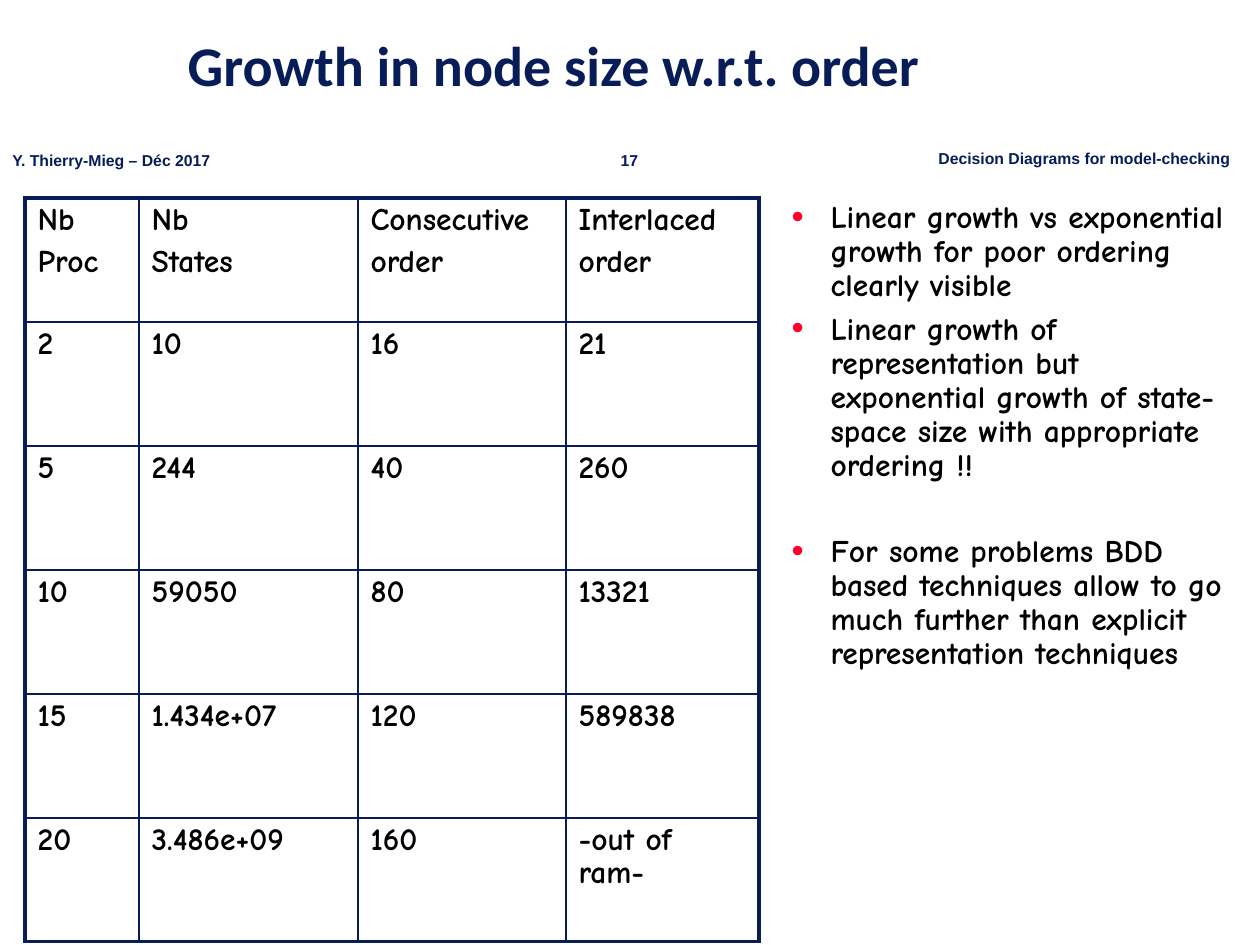
from lxml.etree import SubElement
from pptx import Presentation
from pptx.dml.color import RGBColor
from pptx.enum.text import MSO_ANCHOR, MSO_AUTO_SIZE, PP_ALIGN
from pptx.oxml import parse_xml
from pptx.oxml.ns import nsdecls, qn
from pptx.util import Emu, Pt

SCALE = 914400 / 126
NAVY, RED, BLACK = "081D58", "FC0128", "000000"


def px(*sizes):
    return [Emu(round(size * SCALE)) for size in sizes]


def write(par, text, font, size, color):
    run = par.add_run()
    run.text = text
    run.font.name, run.font.size, run.font.bold = font, Pt(size), True
    run.font.color.rgb = RGBColor.from_string(color)


deck = Presentation()
deck.slide_width, deck.slide_height = px(1260, 945)
slide = deck.slides.add_slide(deck.slide_layouts[1])

# Header line
heads = [
    ("17", 603, 145, 53, PP_ALIGN.CENTER),
    ("Y. Thierry-Mieg – Déc 2017", 0, 145, 227, PP_ALIGN.LEFT),
    ("Decision Diagrams for model-checking", 926, 143, 319, PP_ALIGN.LEFT),
]
for text, left, top, width, align in heads:
    frame = slide.shapes.add_textbox(*px(left, top, width, 32)).text_frame
    frame.word_wrap = False
    par = frame.paragraphs[0]
    par.alignment = align
    write(par, text, "Arial", 9, NAVY)

# Title
title = slide.shapes.title
title.left, title.top, title.width, title.height = px(175, 0, 1085, 136)
frame = title.text_frame
frame.auto_size = MSO_AUTO_SIZE.NONE
frame.vertical_anchor = MSO_ANCHOR.MIDDLE
par = frame.paragraphs[0]
par.alignment, par.line_spacing = PP_ALIGN.LEFT, 0.9
write(par, "Growth in node size w.r.t. order", "Calibri", 32, NAVY)

# Bullet list, with a wider gap before the conclusion
body = slide.placeholders[1]
body.left, body.top, body.width, body.height = px(779, 195, 461, 745)
frame = body.text_frame
frame.auto_size = MSO_AUTO_SIZE.NONE
points = [
    ("Linear growth vs exponential growth for poor ordering clearly visible", 5.4),
    ("Linear growth of representation but exponential growth of state-space "
     "size with appropriate ordering !!", 5.4),
    ("For some problems BDD based techniques allow to go much further than "
     "explicit representation techniques", 30),
]
indent = px(39)[0]
for n, (text, gap) in enumerate(points):
    par = frame.add_paragraph() if n else frame.paragraphs[0]
    par.line_spacing, par.space_before = 0.9, Pt(gap)
    props = par._p.get_or_add_pPr()
    props.set("marL", str(indent))
    props.set("indent", str(-indent))
    tint = SubElement(props, qn("a:buClr"))
    SubElement(tint, qn("a:srgbClr"), val=RED)
    SubElement(props, qn("a:buSzPct"), val="110000")
    SubElement(props, qn("a:buChar"), char="•")
    write(par, text, "Comic Neue", 18, BLACK)

# Table of node counts
rows = [
    ["Nb\nProc", "Nb\nStates", "Consecutive\norder", "Interlaced\norder"],
    ["2", "10", "16", "21"],
    ["5", "244", "40", "260"],
    ["10", "59050", "80", "13321"],
    ["15", "1.434e+07", "120", "589838"],
    ["20", "3.486e+09", "160", "-out of ram-"],
]
widths = [114, 219, 208, 193]
high = 124
last_row, last_col = len(rows) - 1, len(widths) - 1
table = slide.shapes.add_table(
    len(rows), len(widths), *px(25, 198, sum(widths), high * len(rows))).table
table.first_row = table.horz_banding = False
for col, width in zip(table.columns, px(*widths)):
    col.width = width
for r, row in enumerate(rows):
    table.rows[r].height = px(high)[0]
    for c, text in enumerate(row):
        cell = table.cell(r, c)
        cell.fill.background()
        for n, line in enumerate(text.split("\n")):
            frame = cell.text_frame
            par = frame.add_paragraph() if n else frame.paragraphs[0]
            par.line_spacing, par.space_before = 0.9, Pt(5.4)
            write(par, line, "Comic Neue", 18, BLACK)

        # Thick frame outside, thin rules inside
        outer = {"L": c == 0, "R": c == last_col, "T": r == 0, "B": r == last_row}
        props = cell._tc.get_or_add_tcPr()
        for n, (side, thick) in enumerate(outer.items()):
            props.insert(n, parse_xml(
                f'<a:ln{side} {nsdecls("a")} w="{Pt(2.25 if thick else 1)}">'
                f'<a:solidFill><a:srgbClr val="{NAVY}"/></a:solidFill></a:ln{side}>'))

deck.save("out.pptx")
